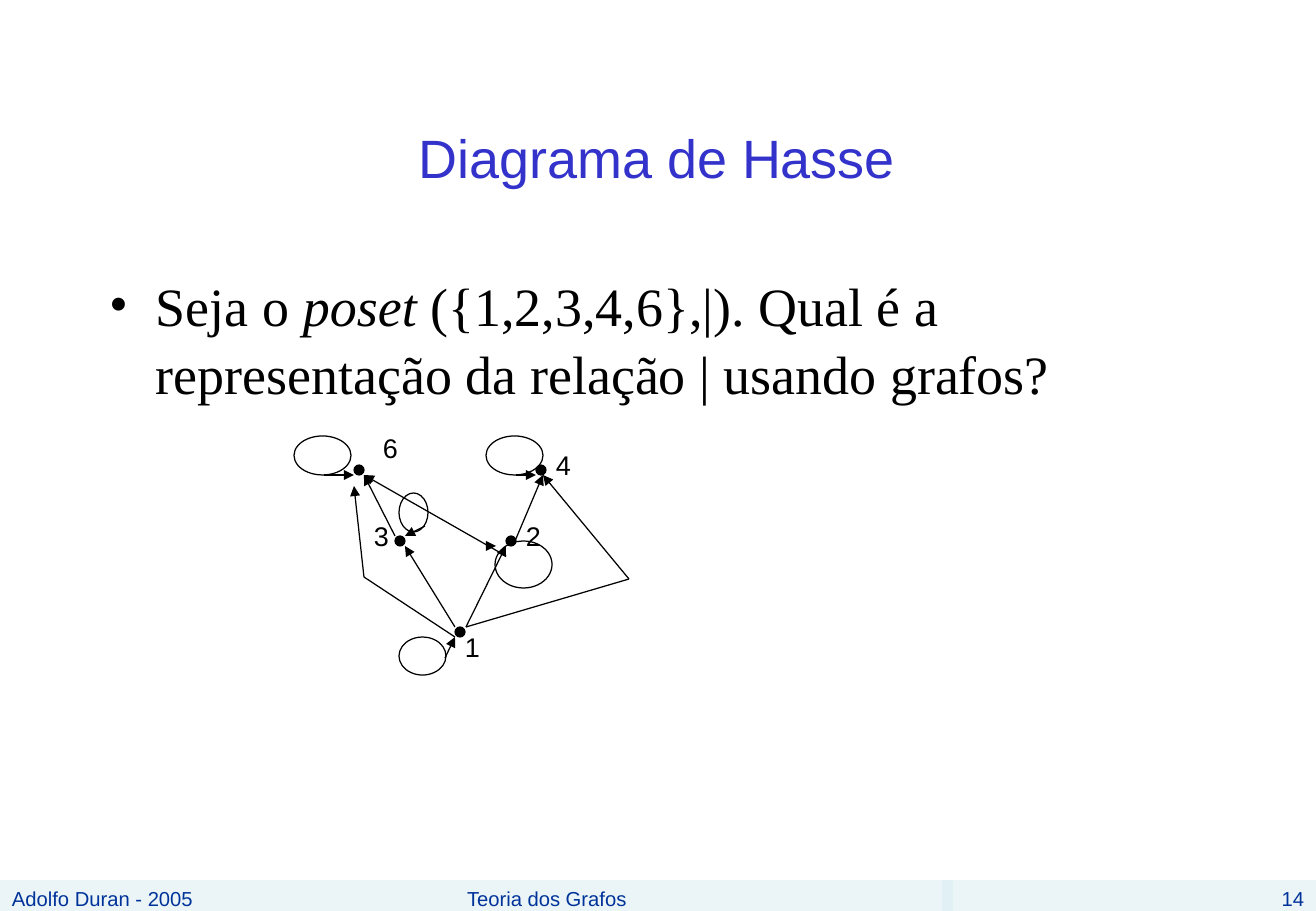
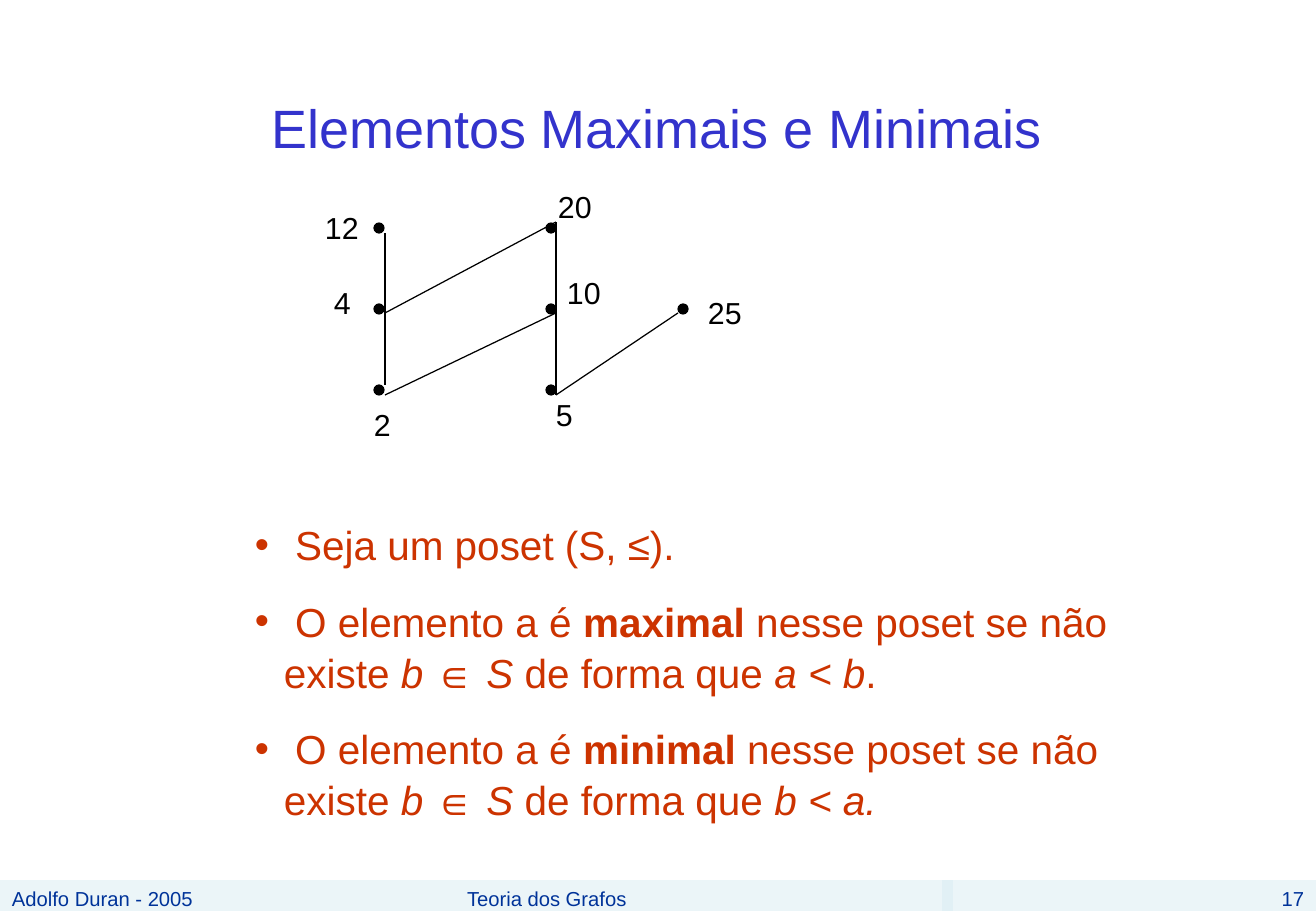
from lxml import etree
from pptx import Presentation, util as u
from pptx.dml.color import RGBColor
from pptx.enum import shapes, text
from pptx.oxml import ns

BLACK = RGBColor(0, 0, 0)
BLUE = RGBColor(0x33, 0x33, 0xCC)
NAVY = RGBColor(0x00, 0x33, 0x99)
RED = RGBColor(0xCC, 0x33, 0x00)
BAND = RGBColor(0xD9, 0xEC, 0xF3)
SANS, SERIF = "Arial", "Times New Roman"
LEFT, MID, RIGHT = (text.PP_ALIGN.LEFT, text.PP_ALIGN.CENTER,
                    text.PP_ALIGN.RIGHT)
WIDE, HIGH = 1316, 911
DOT = 10
SCALE = u.Inches(1) / 121.4


def px(n):
    return u.Emu(round(n * SCALE))


def sub(node, tag, **attrs):
    return etree.SubElement(node, ns.qn(tag), **attrs)


class Deck:
    """Holds the shared style and the slide being drawn."""

    def __init__(self):
        self.prs = Presentation()
        self.prs.slide_width, self.prs.slide_height = px(WIDE), px(HIGH)

    def page(self, title, tall, num):
        layout = self.prs.slide_layouts[6]
        self.shapes = self.prs.slides.add_slide(layout).shapes
        frame = self.frame(98, 81, 1118, tall)
        frame.vertical_anchor = text.MSO_ANCHOR.MIDDLE
        self.fill(frame.paragraphs[0], [(title, "")], 32, BLUE, align=MID)
        self.band(427, 526, "Teoria dos Grafos", LEFT, 40)
        self.band(942, 374, num, RIGHT)
        self.band(0, 427, "Adolfo Duran - 2005", LEFT)

    def frame(self, x, y, w, h):
        frame = self.shapes.add_textbox(px(x), px(y), px(w), px(h)).text_frame
        frame.word_wrap = True
        return frame

    def fill(self, para, runs, size, color, face=SANS, align=LEFT):
        para.alignment = align
        font = para.font
        font.size, font.name, font.color.rgb = u.Pt(size), face, color
        for words, style in runs:
            run = para.add_run()
            run.text = words
            if style == "b":
                run.font.bold = True
            elif style == "i":
                run.font.italic = True

    def shape(self, kind, x, y, w, h):
        item = self.shapes.add_shape(kind, px(x), px(y), px(w), px(h))
        item.shadow.inherit = False
        return item

    def band(self, x, w, words, align, inset=12):
        item = self.shape(shapes.MSO_SHAPE.RECTANGLE, x, 880, w, HIGH - 880)
        item.fill.solid()
        item.fill.fore_color.rgb = BAND
        tint = item._element.spPr.find(".//" + ns.qn("a:srgbClr"))
        sub(tint, "a:alpha", val="50000")
        item.line.fill.background()
        frame = item.text_frame
        frame.margin_left = px(inset)
        frame.vertical_anchor = text.MSO_ANCHOR.TOP
        self.fill(frame.paragraphs[0], [(words, "")], 12, NAVY, align=align)

    def oval(self, x, y, w, h, solid=False):
        item = self.shape(shapes.MSO_SHAPE.OVAL, x, y, w, h)
        if solid:
            item.fill.solid()
            item.fill.fore_color.rgb = BLACK
        else:
            item.fill.background()
        item.line.color.rgb, item.line.width = BLACK, u.Pt(0.75)

    def dot(self, x, y):
        self.oval(x - DOT // 2, y - DOT // 2, DOT, DOT, True)

    def label(self, words, x, y, size):
        frame = self.frame(x, y, 40 if len(words) == 1 else 82, 46)
        self.fill(frame.paragraphs[0], [(words, "")], size, BLACK)

    def line(self, start, end, arrow=False):
        item = self.shapes.add_connector(
            shapes.MSO_CONNECTOR.STRAIGHT, *map(px, start + end))
        item.line.color.rgb, item.line.width = BLACK, u.Pt(0.75)
        props = item._element.spPr
        if arrow:
            sub(props.find(ns.qn("a:ln")), "a:tailEnd", type="triangle")
        sub(props, "a:effectLst")

    def list(self, area, items, size, color, face, hang, gap=0):
        frame = self.frame(*area)
        for n, runs in enumerate(items):
            para = frame.add_paragraph() if n else frame.paragraphs[0]
            props = para._p.get_or_add_pPr()
            props.set("marL", str(px(hang)))
            props.set("indent", str(-px(hang)))
            sub(sub(props, "a:buClr"), "a:srgbClr", val=str(color))
            sub(props, "a:buFont", typeface=face)
            sub(props, "a:buChar", char="•")
            para.line_spacing = 1.05
            if n:
                para.space_before = u.Pt(gap)
            self.fill(para, runs, size, color, face)


def hasse(deck):
    deck.page("Diagrama de Hasse", 152, "14")
    ask = [("Seja o ", ""), ("poset ", "i"),
           ("({1,2,3,4,6},|). Qual é a representação da relação | "
            "usando grafos?", "")]
    deck.list((98, 263, 1118, 586), [ask], 32, BLACK, SERIF, 46)
    for spot in ((359, 470), (541, 470), (511, 541), (400, 541), (460, 632)):
        deck.dot(*spot)
    for name, x, y in (("6", 371, 426), ("4", 544, 443), ("3", 362, 514),
                       ("2", 514, 514), ("1", 453, 625)):
        deck.label(name, x, y, 16)
    for loop in ((486, 436, 57, 39), (294, 436, 57, 39), (399, 493, 29, 39),
                 (399, 637, 47, 38), (495, 541, 57, 47)):
        deck.oval(*loop)
    left, right = (364, 577), (629, 579)
    deck.line((455, 637), left)
    deck.line((466, 627), right)
    for start, end in (((466, 627), (506, 546)), ((455, 627), (405, 546)),
                       ((395, 536), (364, 475)), ((445, 658), (455, 637)),
                       ((486, 546), (496, 546)), ((516, 475), (536, 475)),
                       ((324, 475), (354, 475)), ((425, 526), (405, 536)),
                       ((506, 556), (364, 475)), ((515, 541), (543, 475)),
                       (left, (354, 486)), (right, (543, 475))):
        deck.line(start, end, True)


def rule(kind, test):
    return [(" O elemento a é ", ""), (kind, "b"),
            (" nesse poset se não existe ", ""), ("b ∈ S", "i"),
            (" de forma que ", ""), (test, "i")]


def bounds(deck):
    deck.page("Elementos Maximais e Minimais", 91, "17")
    for x in (379, 551):
        for row in range(3):
            deck.dot(x, 228 + 81 * row)
    deck.dot(683, 309)
    four, ten, five = (385, 313), (556, 313), (556, 395)
    top = (556, 222)
    for start, end in ((four, (385, 385)), (ten, five), (five, (678, 313)),
                       (ten, top), (four, (385, 233)), (four, top),
                       ((385, 395), ten)):
        deck.line(start, end)
    for name, x, y in (("2", 362, 400), ("5", 544, 390), ("25", 696, 288),
                       ("4", 322, 278), ("20", 546, 182), ("12", 313, 203),
                       ("10", 555, 268)):
        deck.label(name, x, y, 18)
    items = [[(" Seja um poset (S, ≤).", "")],
             rule("maximal", "a < b") + [(".", "")],
             rule("minimal", "b < a.")]
    deck.list((243, 512, 941, 380), items, 24, RED, SANS, 29, 15)


def main():
    deck = Deck()
    hasse(deck)
    bounds(deck)
    deck.prs.save("out.pptx")


if __name__ == "__main__":
    main()
